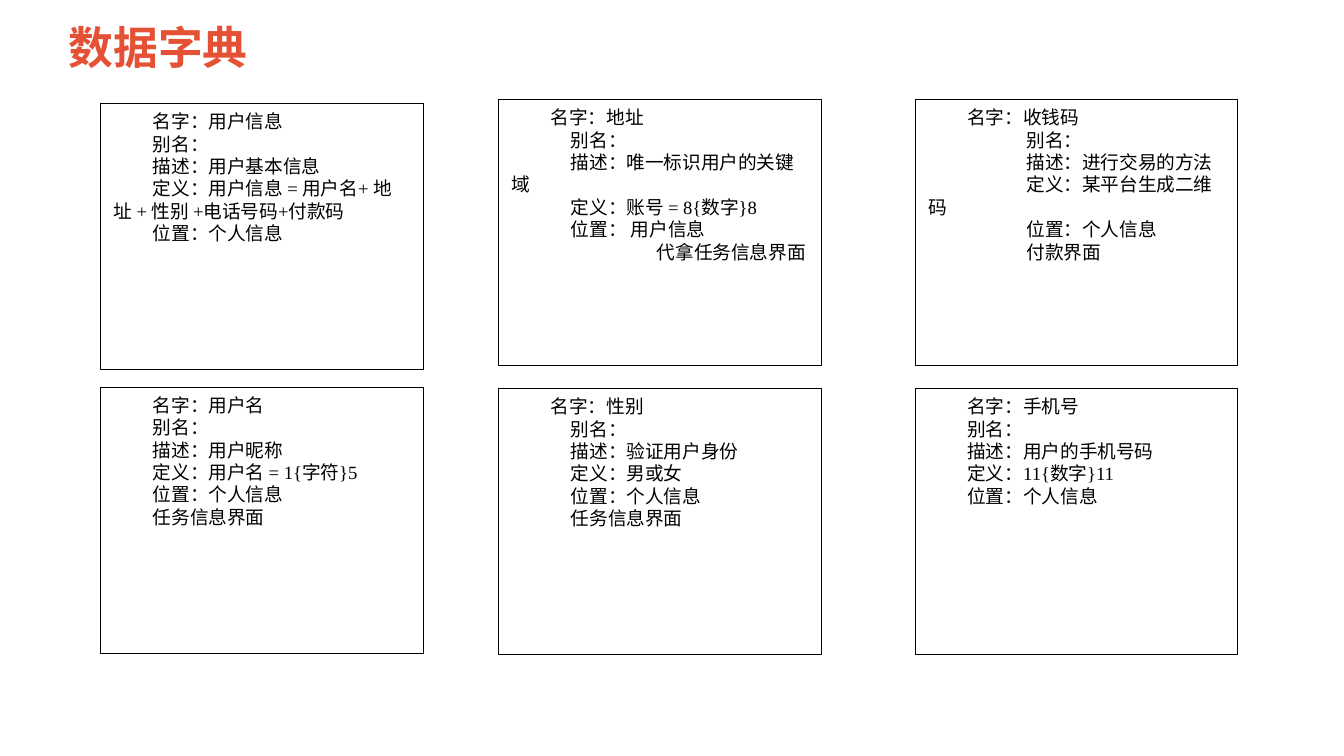
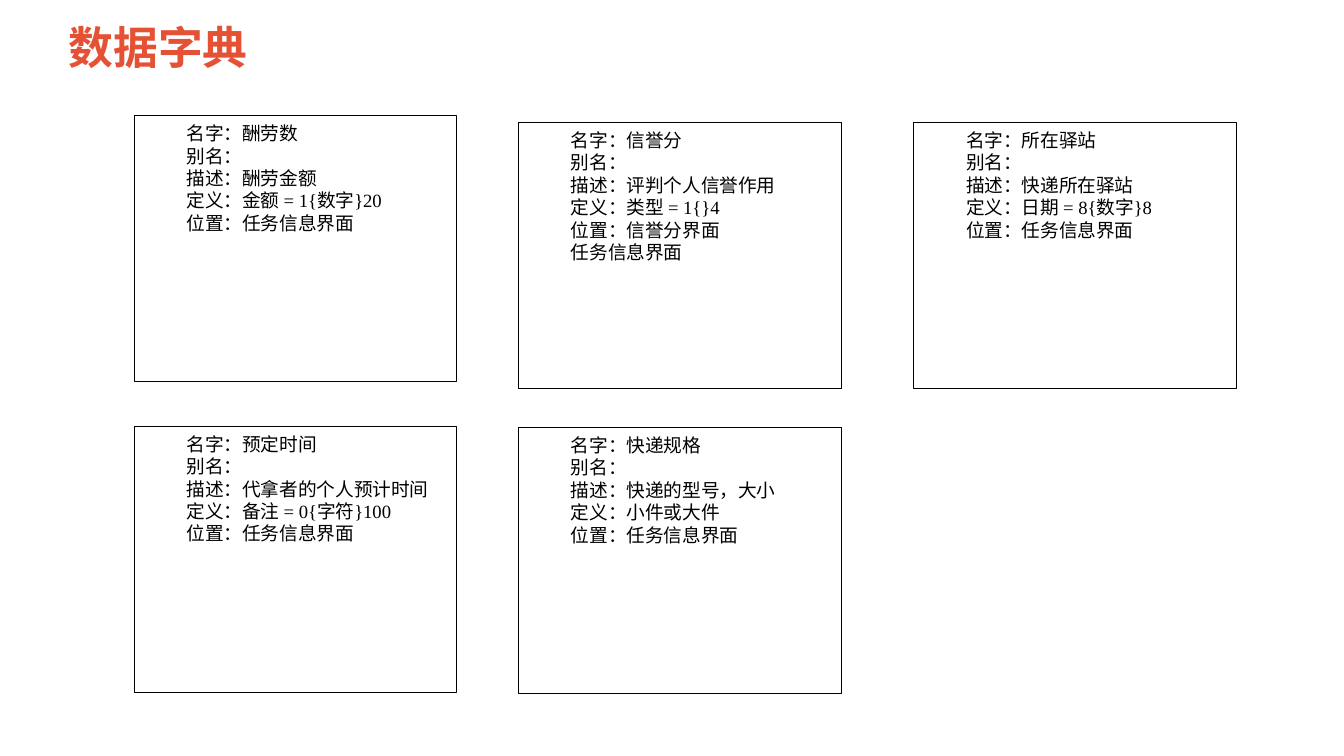
from pptx import Presentation
from pptx.dml.color import RGBColor
from pptx.enum.shapes import MSO_SHAPE
from pptx.enum.text import MSO_ANCHOR, MSO_AUTO_SIZE, PP_ALIGN
from pptx.oxml.ns import qn
from pptx.util import Inches, Pt
from lxml import etree

RECTANGLE = MSO_SHAPE.RECTANGLE
TOP, MIDDLE = MSO_ANCHOR.TOP, MSO_ANCHOR.MIDDLE
LEFT = PP_ALIGN.LEFT
NO_AUTOFIT = MSO_AUTO_SIZE.NONE

ORANGE = RGBColor(0xE5, 0x51, 0x34)
BLACK = RGBColor(0, 0, 0)
WHITE = RGBColor(0xFF, 0xFF, 0xFF)
CHINESE_FONT, BODY_FONT = "Noto Sans CJK SC", "Times New Roman"

CARD_WIDTH, CARD_HEIGHT = 2.4, 1.98
INDENT, MEDIUM, DEEP, DEEPEST = 0.29, 0.44, 0.73, 1.08

# Each entry: column, row, downward shift, indent after the name line, text lines
user_entries = [
    (0, 0, 0.03, INDENT, ["名字：用户信息", "别名：", "描述：用户基本信息",
                          "定义：用户信息 = 用户名+ 地址 + 性别 +电话号码+付款码",
                          "位置：个人信息"]),
    (1, 0, 0, MEDIUM, ["名字：地址", "别名：", "描述：唯一标识用户的关键域",
                       "定义：账号 = 8{数字}8", "位置： 用户信息", "代拿任务信息界面"]),
    (0, 1, -0.01, INDENT, ["名字：用户名", "别名：", "描述：用户昵称",
                           "定义：用户名 = 1{字符}5", "位置：个人信息", "任务信息界面"]),
    (2, 1, 0, INDENT, ["名字：手机号", "别名：", "描述：用户的手机号码",
                       "定义：11{数字}11", "位置：个人信息"]),
    (1, 1, 0, MEDIUM, ["名字：性别", "别名：", "描述：验证用户身份",
                       "定义：男或女", "位置：个人信息", "任务信息界面"]),
    (2, 0, 0, DEEP, ["名字：收钱码", "别名：", "描述：进行交易的方法",
                     "定义：某平台生成二维码", "位置：个人信息", "付款界面"]),
]
task_entries = [
    (2, 0, 0, INDENT, ["名字：所在驿站", "别名：", "描述：快递所在驿站",
                       "定义：日期 = 8{数字}8", "位置：任务信息界面"]),
    (1, 1, 0, INDENT, ["名字：快递规格", "别名：", "描述：快递的型号，大小",
                       "定义：小件或大件", "位置：任务信息界面"]),
    (0, 1, -0.01, INDENT, ["名字：预定时间", "别名：", "描述：代拿者的个人预计时间",
                           "定义：备注 = 0{字符}100", "位置：任务信息界面"]),
    (0, 0, -0.05, INDENT, ["名字：酬劳数", "别名：", "描述：酬劳金额",
                           "定义：金额 = 1{数字}20", "位置：任务信息界面"]),
    (1, 0, 0, INDENT, ["名字：信誉分", "别名：", "描述：评判个人信誉作用",
                       "定义：类型 = 1{}4", "位置：信誉分界面", "任务信息界面"]),
]

# Column lefts, row tops and entries of each slide
pages = [
    ((0.75, 3.71, 6.81), (0.74, 2.89), user_entries),
    ((1, 3.86, 6.8), (0.91, 3.18), task_entries),
]


def format_runs(paragraph, font_name, size, color, bold=False):
    paragraph.alignment = LEFT
    for run in paragraph.runs:
        run.font.name = font_name
        run.font.size = Pt(size)
        run.font.bold = bold
        run.font.color.rgb = color
        latin = run.font._element.find(qn("a:latin"))
        latin.addnext(etree.Element(qn("a:ea"), typeface=CHINESE_FONT))


prs = Presentation()
prs.slide_width = Inches(10)
prs.slide_height = prs.slide_width * 9 // 16
title_layout = prs.slide_layouts[5]

for columns, rows, entries in pages:
    slide = prs.slides.add_slide(title_layout)

    # Slide title
    heading = slide.shapes.title
    heading.left, heading.top = Inches(0.51), Inches(0.14)
    heading.width, heading.height = Inches(2.88), Inches(0.42)
    heading_frame = heading.text_frame
    heading_frame.text = "数据字典"
    heading_frame.auto_size = NO_AUTOFIT
    heading_frame.vertical_anchor = MIDDLE
    heading_frame.margin_left = heading_frame.margin_right = 0
    format_runs(heading_frame.paragraphs[0], CHINESE_FONT, 24, ORANGE, bold=True)

    # Dictionary cards
    for column, row, shift, indent, lines in entries:
        card = slide.shapes.add_shape(
            RECTANGLE, Inches(columns[column]), Inches(rows[row] + shift),
            Inches(CARD_WIDTH), Inches(CARD_HEIGHT))
        card.shadow.inherit = False
        card.fill.solid()
        card.fill.fore_color.rgb = WHITE
        card.line.color.rgb = BLACK
        card.line.width = Pt(0.5)
        card_frame = card.text_frame
        card_frame.word_wrap = True
        card_frame.vertical_anchor = TOP
        card_frame.text = "\n".join(lines)
        for number, paragraph in enumerate(card_frame.paragraphs):
            first_line = INDENT if number == 0 else indent
            if paragraph.text == "代拿任务信息界面":
                first_line = DEEPEST
            properties = paragraph._p.get_or_add_pPr()
            properties.set("marL", "0")
            properties.set("indent", str(Inches(first_line)))
            paragraph.line_spacing = Pt(12)
            format_runs(paragraph, BODY_FONT, 10, BLACK)

prs.save("out.pptx")
